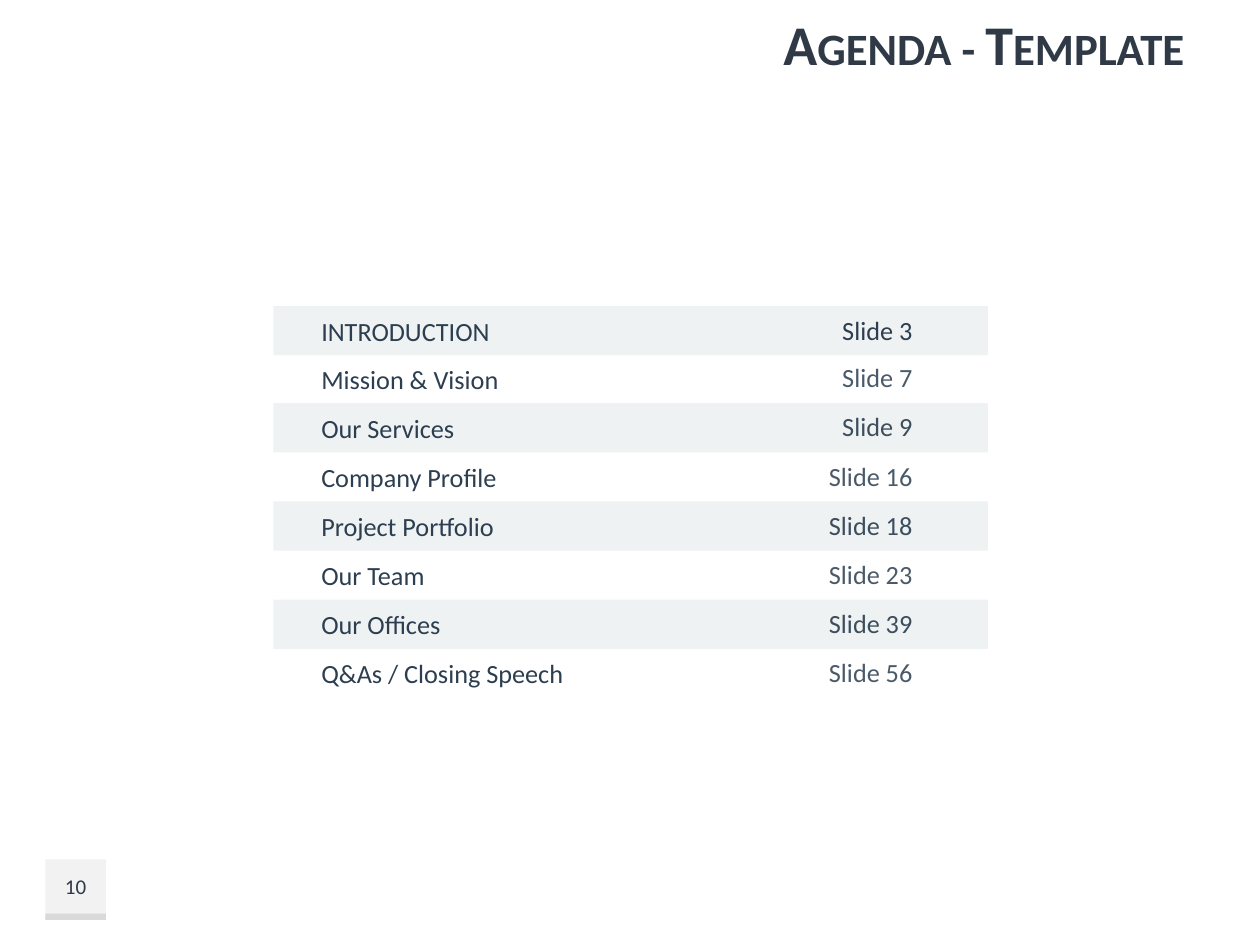
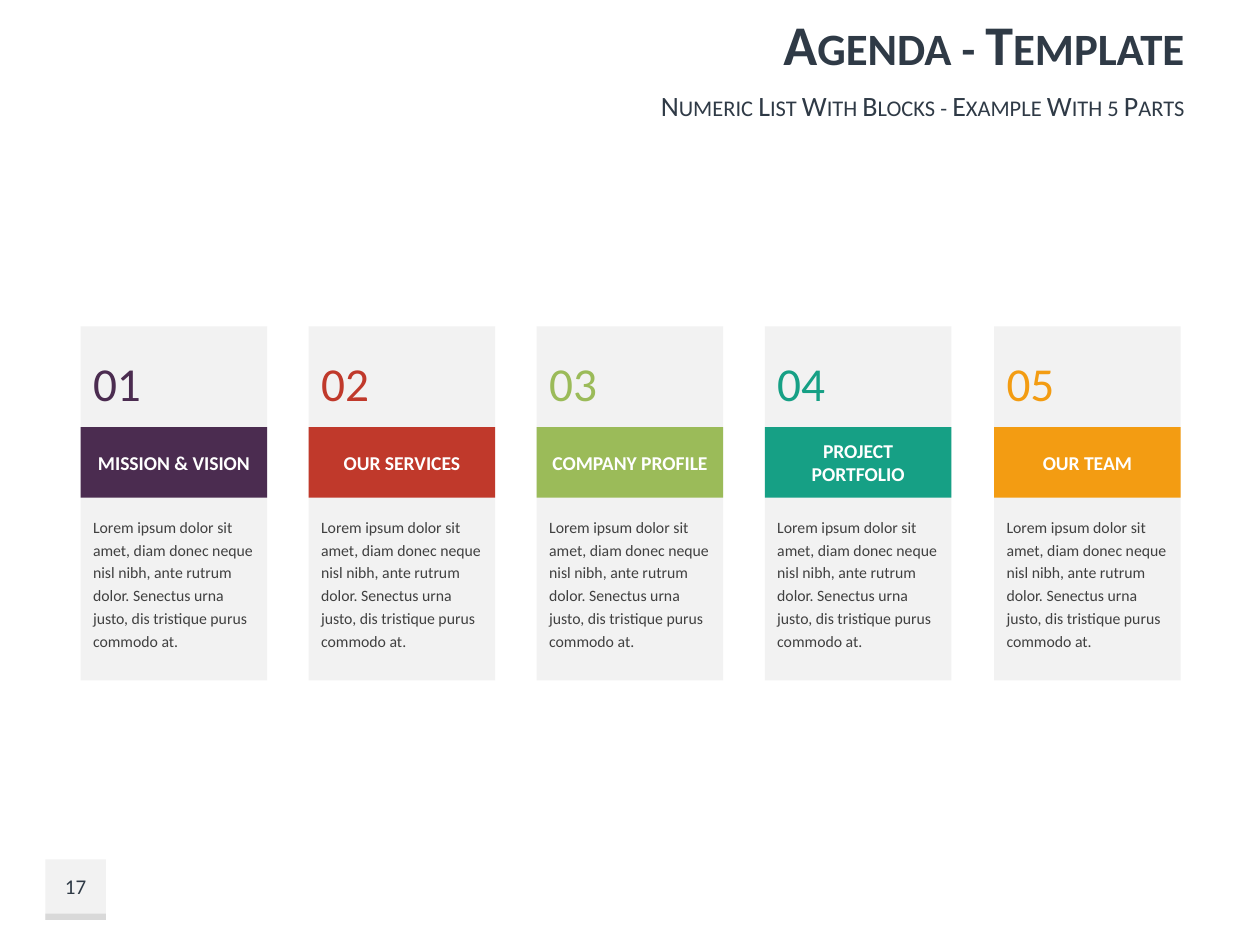
"""Build two agenda slides: a striped list and a row of numbered blocks."""
from dataclasses import dataclass

from lxml import etree
from pptx import Presentation
from pptx.dml.color import RGBColor
from pptx.enum.shapes import MSO_SHAPE
from pptx.enum.text import MSO_ANCHOR, MSO_AUTO_SIZE, PP_ALIGN
from pptx.oxml.ns import qn
from pptx.util import Pt

PX = 9144
RECT = MSO_SHAPE.RECTANGLE
TOP, MIDDLE = MSO_ANCHOR.TOP, MSO_ANCHOR.MIDDLE
LEFT, CENTER, RIGHT = PP_ALIGN.LEFT, PP_ALIGN.CENTER, PP_ALIGN.RIGHT
NO_FIT = MSO_AUTO_SIZE.NONE
TITLE_ONLY, TITLE_SUBTITLE = 5, 0

AGENDA = [
    ("INTRODUCTION", "Slide 3"),
    ("Mission & Vision", "Slide 7"),
    ("Our Services", "Slide 9"),
    ("Company Profile", "Slide 16"),
    ("Project Portfolio", "Slide 18"),
    ("Our Team", "Slide 23"),
    ("Our Offices", "Slide 39"),
    ("Q&As / Closing Speech", "Slide 56"),
]
BLOCKS = [
    ("MISSION & VISION", "4B2C50"),
    ("OUR SERVICES", "C0392B"),
    ("COMPANY PROFILE", "9BBB59"),
    ("PROJECT\nPORTFOLIO", "16A085"),
    ("OUR TEAM", "F39C12"),
]
LOREM = ("Lorem ipsum dolor sit amet, diam donec neque nisl nibh, ante rutrum dolor. "
         "Senectus urna justo, dis tristique purus commodo at.")


@dataclass(frozen=True)
class Theme:
    """Colours, font and type sizes."""
    font: str = "Calibri"
    heading: str = "2F3A46"
    entry: str = "2C3E50"
    body: str = "404040"
    white: str = "FFFFFF"
    panel: str = "F2F2F2"
    edge: str = "D9D9D9"
    stripe: str = "9AAAAA"
    stripe_alpha: int = 15
    title_pt: float = 32
    subtitle_pt: float = 16
    number_pt: float = 27
    entry_pt: float = 15
    page_pt: float = 12
    label_pt: float = 11.2
    body_pt: float = 9


def spread(first, last, count):
    """Return evenly spaced whole positions from first to last."""
    return [first + (last - first) * i // (count - 1) for i in range(count)]


def write(sp, text, size, color, font, bold=False, small_caps=False, align=LEFT,
          anchor=MIDDLE, insets=(10, 5, 10, 5), spacing=1.0):
    """Fill a shape with formatted text, one paragraph per line."""
    tf = sp.text_frame
    tf.word_wrap = True
    tf.auto_size = NO_FIT
    tf.vertical_anchor = anchor
    tf.margin_left, tf.margin_top, tf.margin_right, tf.margin_bottom = (
        n * PX for n in insets)
    for i, line in enumerate(text.split("\n")):
        p = tf.add_paragraph() if i else tf.paragraphs[0]
        p.alignment = align
        p.line_spacing = spacing
        p.space_before = Pt(0)
        r = p.add_run()
        r.text = line
        r.font.name, r.font.size, r.font.bold = font, Pt(size), bold
        r.font.color.rgb = RGBColor.from_string(color)
        if small_caps:
            r.font._element.set("cap", "small")


class Deck:
    """Hold the theme, the presentation and the current slide."""

    def __init__(self, theme):
        """Start an empty presentation."""
        self.theme = theme
        self.prs = Presentation()
        self.prs.slide_width, self.prs.slide_height = 1000 * PX, 750 * PX
        self.s = None

    def slide(self, page, title, subtitle=None):
        """Add a slide with its headings and page badge."""
        t = self.theme
        layout = TITLE_SUBTITLE if subtitle else TITLE_ONLY
        self.s = self.prs.slides.add_slide(self.prs.slide_layouts[layout])
        self.rect(36, 682, 48, 48, t.panel)
        self.rect(36, 725, 48, 5, t.edge)
        if subtitle:
            self.heading(self.s.placeholders[1], 68, 31, subtitle, t.subtitle_pt)
        self.heading(self.s.shapes.title, 0, 68, title, t.title_pt, bold=True)
        self.text(36, 682, 48, 43, page, size=t.page_pt, color=t.heading, align=CENTER)

    def heading(self, sp, y, h, text, size, bold=False):
        """Place and fill a heading placeholder."""
        sp.left, sp.top, sp.width, sp.height = 319 * PX, y * PX, 631 * PX, h * PX
        write(sp, text, size, self.theme.heading, self.theme.font, bold=bold,
              small_caps=True, align=RIGHT)

    def rect(self, x, y, w, h, fill, alpha=None):
        """Add a flat rectangle, translucent when alpha is given in percent."""
        sp = self.s.shapes.add_shape(RECT, x * PX, y * PX, w * PX, h * PX)
        sp.shadow.inherit = False
        sp.line.fill.background()
        sp.fill.solid()
        sp.fill.fore_color.rgb = RGBColor.from_string(fill)
        if alpha is not None:
            clr = sp._element.spPr.find(qn("a:solidFill"))[0]
            etree.SubElement(clr, qn("a:alpha")).set("val", str(alpha * 1000))
        return sp

    def text(self, x, y, w, h, text, **fmt):
        """Add a text box."""
        sp = self.s.shapes.add_textbox(x * PX, y * PX, w * PX, h * PX)
        write(sp, text, font=self.theme.font, **fmt)

    def band(self, y, text, fill):
        """Add one translucent agenda row."""
        t = self.theme
        sp = self.rect(217, y, 567, 39, fill, alpha=t.stripe_alpha)
        write(sp, text, t.entry_pt, t.entry, t.font, insets=(38, 5, 10, 5))

    def block(self, x, number, label, color):
        """Add one numbered agenda block."""
        t = self.theme
        w = 148
        self.rect(x, 259, w, 281, t.panel)
        sp = self.rect(x, 339, w, 56, color)
        write(sp, label, t.label_pt, t.white, t.font, bold=True, align=CENTER,
              insets=(0, 5, 0, 5))
        self.text(x, 276, w, 56, number, size=t.number_pt, color=color, anchor=TOP)
        self.text(x, 403, w, 100, LOREM, size=t.body_pt, color=t.body, anchor=TOP,
                  spacing=1.2)


def agenda_list(deck):
    """Build the striped list, with page labels beneath the later bands."""
    t = deck.theme
    deck.slide("10", "Agenda - Template")
    tops = spread(243, 515, len(AGENDA))
    topics = [topic for topic, _ in AGENDA]
    deck.band(tops[0], topics[0], t.stripe)
    for y, (_, page) in zip(tops, AGENDA):
        deck.text(624, y + 1, 110, 35, page, size=t.entry_pt, color=t.entry, align=RIGHT)
    for i in range(1, len(topics)):
        deck.band(tops[i], topics[i], t.white if i % 2 else t.stripe)


def agenda_blocks(deck):
    """Build the row of numbered blocks."""
    deck.slide("17", "Agenda - Template", "Numeric List With Blocks - Example With 5 Parts")
    lefts = spread(64, 789, len(BLOCKS))
    for i, (x, (label, color)) in enumerate(zip(lefts, BLOCKS), 1):
        deck.block(x, f"{i:02}", label, color)


def main():
    """Build and save the slides."""
    deck = Deck(Theme())
    agenda_list(deck)
    agenda_blocks(deck)
    deck.prs.save("out.pptx")


if __name__ == "__main__":
    main()
